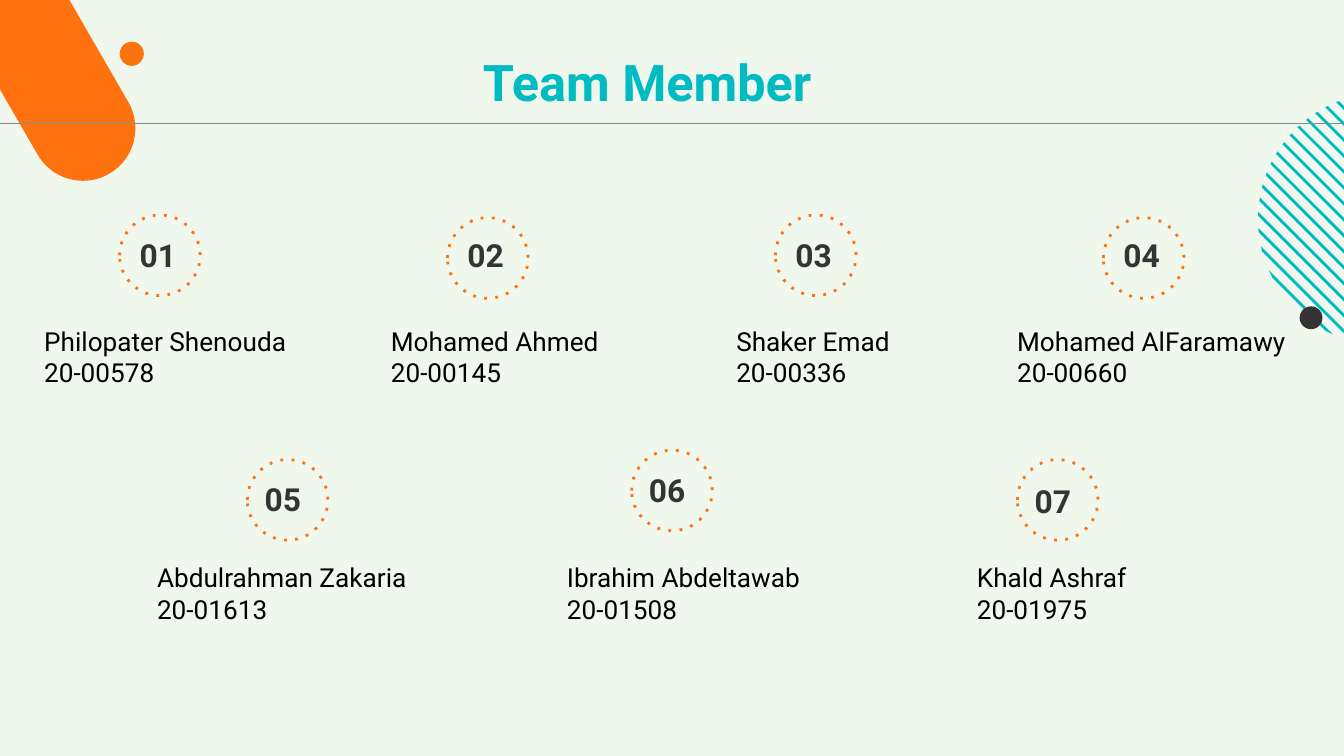
"""Build the team member slide with numbered rings, names and corner decor."""
from math import sqrt

from lxml.etree import SubElement
from pptx import Presentation
from pptx.dml.color import RGBColor
from pptx.enum.dml import MSO_LINE
from pptx.enum.shapes import MSO_CONNECTOR, MSO_SHAPE
from pptx.enum.text import MSO_ANCHOR, MSO_AUTO_SIZE, PP_ALIGN
from pptx.oxml.ns import qn
from pptx.util import Inches, Pt

COLORS = {
    "back": "F0F7ED",
    "orange": "FF7210",
    "teal": "00BBC1",
    "dark": "343434",
    "black": "000000",
    "rule": "888C88",
}
FONT = "Roboto"
RING = 0.6
TOP = [
    ("Philopater Shenouda", "20-00578", 0.23, 2.19, 1.6),
    ("Mohamed Ahmed", "20-00145", 2.81, 2.19, 1.62),
    ("Shaker Emad", "20-00336", 5.38, 2.19, 1.6),
    ("Mohamed AlFaramawy", "20-00660", 7.47, 2.34, 1.62),
]
LOW = [
    ("Abdulrahman Zakaria", "20-01613", 1.84, 3.42, 3.4),
    ("Ibrahim Abdeltawab", "20-01508", 4.7, 3.35, 3.33),
    ("Khald Ashraf", "20-01975", 7.57, 3.42, 3.41),
]


def color(name):
    return RGBColor.from_string(COLORS[name])


def add_solid(shapes, kind, left, top, width, height, fill):
    shape = shapes.add_shape(kind, Inches(left), Inches(top), Inches(width), Inches(height))
    shape.shadow.inherit = False
    shape.fill.solid()
    shape.fill.fore_color.rgb = color(fill)
    shape.line.fill.background()
    return shape


def add_ring(shapes, left, top):
    ring = shapes.add_shape(MSO_SHAPE.OVAL, Inches(left), Inches(top), Inches(RING), Inches(RING))
    ring.shadow.inherit = False
    ring.fill.background()
    ring.line.color.rgb = color("orange")
    ring.line.width = Pt(1.5)
    ring.line.dash_style = MSO_LINE.ROUND_DOT
    dash = next(ring._element.iter(qn("a:prstDash")))
    dash.set("val", "dot")


def add_text(shapes, lines, left, top, width, height, size, ink, bold=False):
    box = shapes.add_textbox(Inches(left), Inches(top), Inches(width), Inches(height))
    frame = box.text_frame
    frame.word_wrap = True
    frame.text = "\n".join(lines)
    for para in frame.paragraphs:
        para.font.name = FONT
        para.font.size = Pt(size)
        para.font.bold = bold
        para.font.color.rgb = color(ink)
    return frame


def pad(frame):
    frame.margin_left = frame.margin_right = Inches(0.1)
    frame.margin_top = frame.margin_bottom = Inches(0.1)


def add_title(shapes, text):
    frame = add_text(shapes, [text], 0.99, 0.28, 7.65, 0.94, 27, "teal", True)
    pad(frame)
    frame.paragraphs[0].alignment = PP_ALIGN.CENTER


def add_number(shapes, text, left, top):
    frame = add_text(shapes, [text], left, top, 0.55, 0.63, 17, "dark", True)
    pad(frame)
    frame.vertical_anchor = MSO_ANCHOR.MIDDLE


def add_name(shapes, name, code, left, top, width):
    frame = add_text(shapes, [name, code], left, top, width, 0.57, 14, "black")
    frame.auto_size = MSO_AUTO_SIZE.SHAPE_TO_FIT_TEXT


def add_rule(shapes, y):
    rule = shapes.add_connector(MSO_CONNECTOR.STRAIGHT, Inches(10.15), Inches(y), 0, Inches(y))
    rule.line.color.rgb = color("rule")
    rule.line.width = Pt(0.75)
    SubElement(rule._element.spPr, qn("a:effectLst"))


def chord(x, y, radius, shift):
    """Return both ends of a 45 degree chord of a circle."""
    reach = sqrt(radius**2 - shift**2 / 2) / sqrt(2)
    return [(x + shift / 2 + s * reach, y - shift / 2 + s * reach) for s in (-1, 1)]


def add_stripes(shapes, x, y, radius, count=16, first=0.54, last=-1.24, thick=0.03):
    group = shapes.add_group_shape()
    step = (last - first) / (count - 1)
    for i in range(count):
        shift = first + i * step
        points = chord(x, y, radius, shift) + chord(x, y, radius, shift - thick)[::-1]
        start, *rest = [(Inches(a), Inches(b)) for a, b in points]
        pen = group.shapes.build_freeform(*start)
        pen.add_line_segments(rest, close=True)
        stripe = pen.convert_to_shape()
        stripe.shadow.inherit = False
        stripe.fill.solid()
        stripe.fill.fore_color.rgb = color("teal")
        stripe.line.fill.background()


def add_decor(shapes):
    bar = add_solid(shapes, MSO_SHAPE.ROUNDED_RECTANGLE, -1.06, -4.24, 0.78, 5.93, "orange")
    bar.adjustments[0] = 0.5
    bar.rotation = -30
    add_solid(shapes, MSO_SHAPE.OVAL, 0.89, 0.31, 0.18, 0.18, "orange")
    add_stripes(shapes, 10.3, 1.63, 0.94)
    add_solid(shapes, MSO_SHAPE.OVAL, 9.67, 2.28, 0.17, 0.17, "dark")


def add_team(shapes):
    for i, (name, code, left, width, top) in enumerate(TOP):
        x = 0.89 + i * 2.44
        add_ring(shapes, x, top)
        add_number(shapes, f"{i + 1:02}", x + 0.05, 1.58)
        add_name(shapes, name, code, left, 2.37, width)
    for i, (name, code, x, top, label) in enumerate(LOW):
        add_ring(shapes, x, top)
        add_number(shapes, f"{i + len(TOP) + 1:02}", x + 0.03, label)
        add_name(shapes, name, code, 1.07 + i * 3.05, 4.13, 2.19)


def main():
    deck = Presentation()
    deck.slide_width = Inches(10)
    deck.slide_height = Inches(10 * 9 / 16)
    slide = deck.slides.add_slide(deck.slide_layouts[6])
    slide.background.fill.solid()
    slide.background.fill.fore_color.rgb = color("back")
    add_decor(slide.shapes)
    add_title(slide.shapes, "Team Member")
    add_rule(slide.shapes, 0.92)
    add_team(slide.shapes)
    deck.save("out.pptx")


if __name__ == "__main__":
    main()
